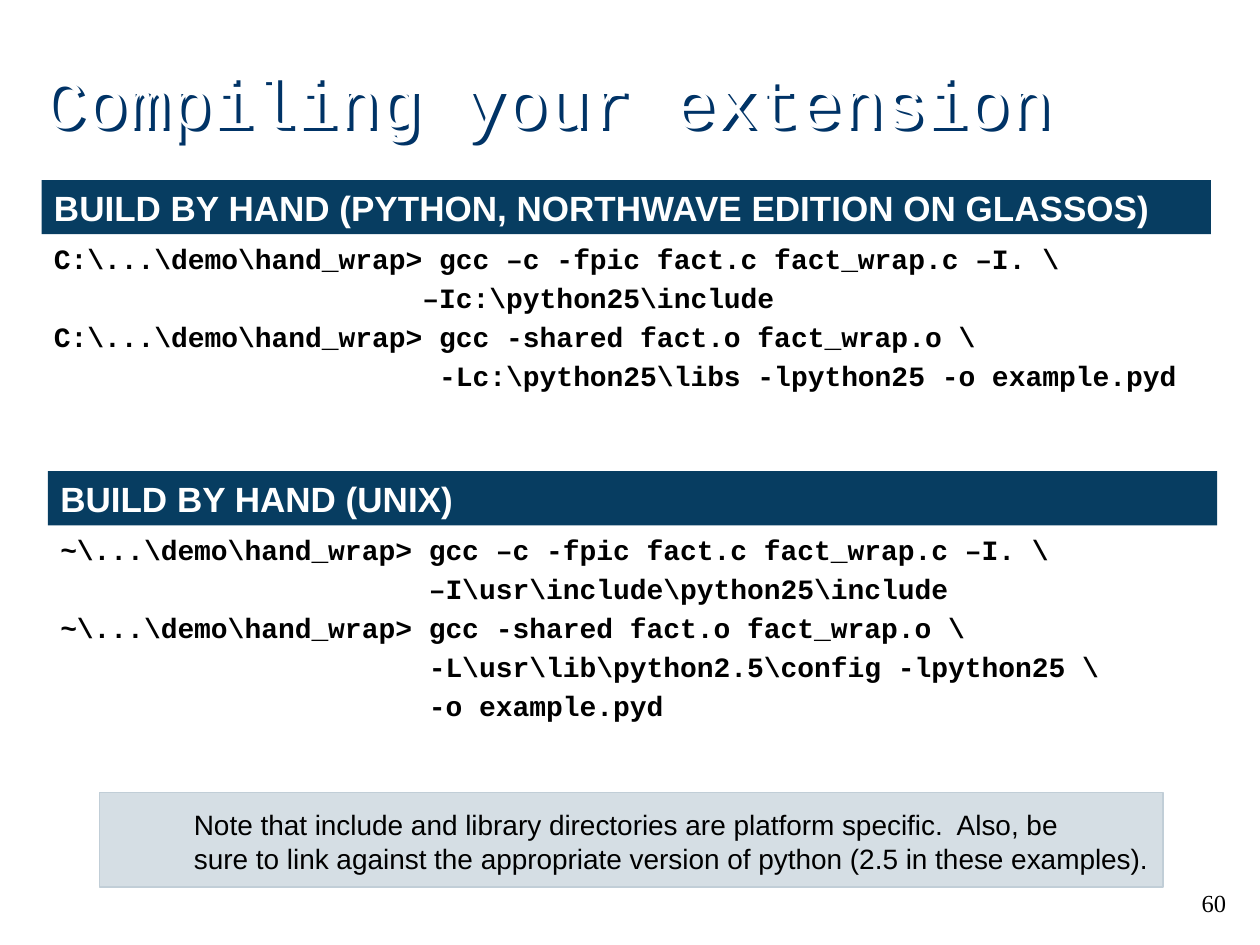
from lxml import etree
from pptx import Presentation
from pptx.dml.color import RGBColor
from pptx.enum import shapes, text
from pptx.oxml.ns import qn
from pptx.util import Inches, Pt

COLORS = {"navy": "073D61", "shadow": "003366", "mist": "C1CED7",
          "white": "FFFFFF", "black": "000000"}

TITLE = "Compiling your extension"
BUILDS = [  # left and top of the heading bar, then heading and commands
    (0.33, 1.43, "BUILD BY HAND (PYTHON, NORTHWAVE EDITION ON GLASSOS)", [
        r"C:\...\demo\hand_wrap> gcc –c -fpic fact.c fact_wrap.c –I. " + "\\",
        r"                      –Ic:\python25\include",
        r"C:\...\demo\hand_wrap> gcc -shared fact.o fact_wrap.o " + "\\",
        r"                       -Lc:\python25\libs -lpython25 -o example.pyd",
    ]),
    (0.38, 3.74, "BUILD BY HAND (UNIX)", [
        r"~\...\demo\hand_wrap> gcc –c -fpic fact.c fact_wrap.c –I. " + "\\",
        r"                      –I\usr\include\python25\include",
        r"~\...\demo\hand_wrap> gcc -shared fact.o fact_wrap.o " + "\\",
        r"                      -L\usr\lib\python2.5\config -lpython25 " + "\\",
        r"                      -o example.pyd",
    ]),
]
NOTE = [
    "Note that include and library directories are platform specific.  Also, be",
    "sure to link against the appropriate version of python (2.5 in these examples).",
]
PAGE = "60"

STYLES = {
    "title": {"name": "Courier New", "size": Pt(40), "bold": False},
    "heading": {"name": "Arial", "size": Pt(20), "bold": True},
    "code": {"name": "Courier New", "size": Pt(16), "bold": True},
    "note": {"name": "Arial", "size": Pt(16), "bold": False},
    "page": {"name": "Times New Roman", "size": Pt(14), "bold": False},
}
BAR_WIDTH, BAR_HEIGHT = 9.28, 0.43
CODE_WIDTH, CODE_LINE = 9.41, 0.29

prs = Presentation()
prs.slide_width, prs.slide_height = Inches(10), Inches(7.5)
slide = prs.slides.add_slide(prs.slide_layouts[6])


def write(shape, lines, style, color="black", gap=0,
          align=text.PP_ALIGN.LEFT, anchor=text.MSO_ANCHOR.TOP):
    frame = shape.text_frame
    frame.word_wrap = True
    frame.vertical_anchor = anchor
    for i, line in enumerate(lines):
        para = frame.paragraphs[0] if i == 0 else frame.add_paragraph()
        para.alignment = align
        if i and gap:
            para.space_before = Pt(gap)
        run = para.add_run()
        run.text = line
        for key, value in STYLES[style].items():
            setattr(run.font, key, value)
        run.font.color.rgb = RGBColor.from_string(COLORS[color])


def add_text(box, lines, style, **options):
    shape = slide.shapes.add_textbox(*map(Inches, box))
    write(shape, lines, style, **options)
    return shape


def add_bar(box, fill):
    bar = slide.shapes.add_shape(shapes.MSO_SHAPE.RECTANGLE, *map(Inches, box))
    bar.shadow.inherit = False
    bar.fill.solid()
    bar.fill.fore_color.rgb = RGBColor.from_string(COLORS[fill])
    bar.line.fill.background()
    return bar


# Title: white letters that show through their navy shadow
title = add_text((0.25, 0.17, 8.5, 1.25), [TITLE], "title", color="white",
                 anchor=text.MSO_ANCHOR.MIDDLE)
effects = etree.SubElement(title._element.spPr, qn("a:effectLst"))
shadow = etree.SubElement(effects, qn("a:outerShdw"), dist=str(Inches(0.04)),
                          dir="2700000", algn="ctr", rotWithShape="0")
etree.SubElement(shadow, qn("a:srgbClr"), val=COLORS["shadow"])

# Heading bars with the commands below them
for left, top, heading, commands in BUILDS:
    add_text((left, top + BAR_HEIGHT + 0.01, CODE_WIDTH,
              0.1 + CODE_LINE * len(commands)), commands, "code", gap=3)
    bar = add_bar((left, top, BAR_WIDTH, BAR_HEIGHT), "navy")
    write(bar, [heading], "heading", color="white")

# Note on a translucent panel
panel = add_bar((0.79, 6.29, 8.44, 0.75), "mist")
tint = panel._element.spPr.find(qn("a:solidFill")).find(qn("a:srgbClr"))
etree.SubElement(tint, qn("a:alpha"), val="67000")
panel.line.color.rgb = RGBColor.from_string(COLORS["mist"])
panel.line.width = Pt(0.75)
add_text((1.44, 6.36, 7.98, 0.63), NOTE, "note")

# Page number
add_text((7.75, 7, 2.08, 0.5), [PAGE], "page", align=text.PP_ALIGN.RIGHT)

prs.save("out.pptx")
